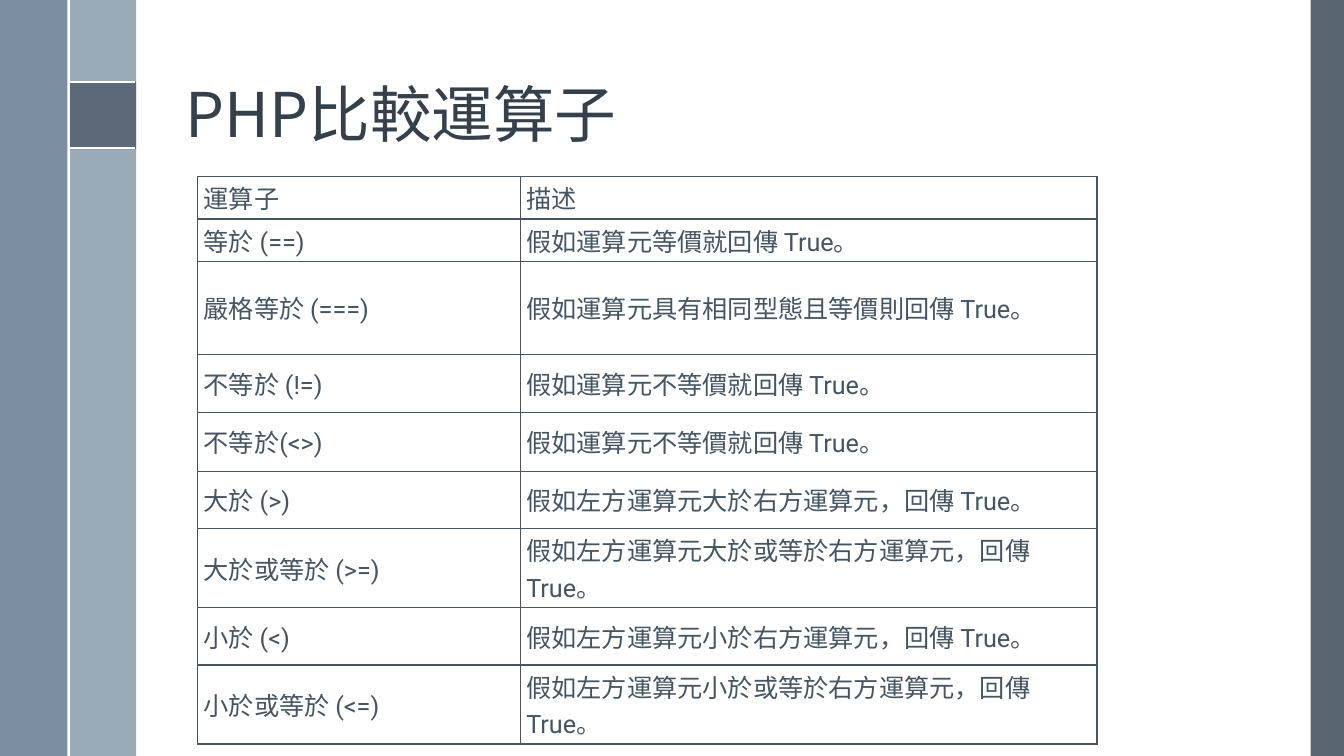
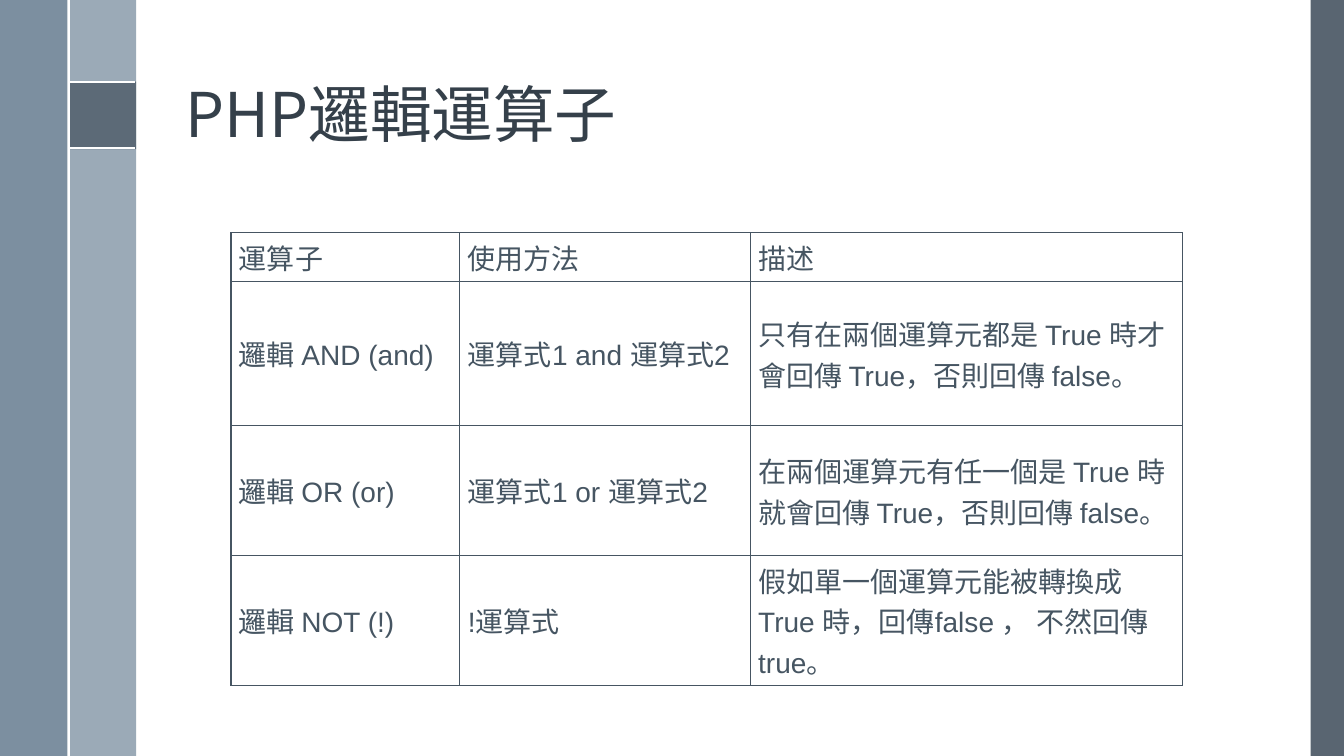
from dataclasses import dataclass

from lxml.etree import SubElement
from pptx import Presentation
from pptx.dml.color import RGBColor
from pptx.enum.shapes import MSO_CONNECTOR as Connector, MSO_SHAPE as Shape
from pptx.enum.text import MSO_ANCHOR as Anchor, MSO_AUTO_SIZE as AutoSize, PP_ALIGN as Align
from pptx.oxml import parse_xml
from pptx.oxml.ns import nsdecls, qn
from pptx.util import Inches, Pt

COLORS = {
    "white": "FFFFFF",
    "slate": "475562",
    "steel": "6A8093",
    "mist": "9BAAB7",
    "title": "35404A",
    "table": "465562",
}
CJK_FONT = "Noto Sans CJK TC"
WIDTH, HEIGHT = 13.33, 7.5
BAND_LEFT, BAND_RIGHT, BAND_WIDTH = 0.68, 1.34, 0.67
MARK_TOP, MARK_BOTTOM = 0.81, 1.47


@dataclass
class Band:
    left: float
    top: float
    width: float
    height: float
    color: str
    opacity: int = 100


@dataclass
class Rule:
    start: tuple[float, float]
    end: tuple[float, float]


@dataclass
class OperatorTable:
    title: str
    left: float
    top: float
    columns: list[float]
    heights: list[float]
    margins: tuple[float, float]
    size: int
    header_fonts: list[str]
    body_font: str
    rows: list[tuple[str, ...]]


BANDS = [
    Band(13, 0, 0.33, HEIGHT, "slate", 90),
    Band(BAND_LEFT, 0, BAND_WIDTH, HEIGHT, "mist"),
    Band(0, 0, BAND_WIDTH, HEIGHT, "steel", 88),
    Band(BAND_LEFT, MARK_TOP, BAND_WIDTH, BAND_WIDTH, "slate", 75),
]
RULES = [
    Rule((BAND_LEFT, MARK_TOP), (BAND_RIGHT, MARK_TOP)),
    Rule((BAND_LEFT, MARK_BOTTOM), (BAND_RIGHT, MARK_BOTTOM)),
    Rule((BAND_LEFT, 0), (BAND_LEFT, HEIGHT)),
]

COMPARISON = OperatorTable(
    "PHP比較運算子", 1.96, 1.75, [3.2, 5.72],
    [0.23, 0.4, 0.92, 0.58, 0.58] + [0.57] * 4,
    (0.06, 0.03), 18, ["Roboto", "Roboto"], "Roboto",
    [
        ("運算子", "描述"),
        ("等於 (==)", "假如運算元等價就回傳 True。"),
        ("嚴格等於 (===)", "假如運算元具有相同型態且等價則回傳 True。"),
        ("不等於 (!=)", "假如運算元不等價就回傳 True。"),
        ("不等於(<>)", "假如運算元不等價就回傳 True。"),
        ("大於 (>)", "假如左方運算元大於右方運算元，回傳 True。"),
        ("大於或等於 (>=)", "假如左方運算元大於或等於右方運算元，回傳 True。"),
        ("小於 (<)", "假如左方運算元小於右方運算元，回傳 True。"),
        ("小於或等於 (<=)", "假如左方運算元小於或等於右方運算元，回傳 True。"),
    ],
)
LOGIC = OperatorTable(
    "PHP邏輯運算子", 2.29, 2.31, [2.27, 2.88, 4.29],
    [0.33, 1.43, 1.26, 1.07],
    (0.08, 0.04), 20, ["Arial", "Roboto", "Roboto"], "Arial",
    [
        ("運算子", "使用方法", "描述"),
        ("邏輯 AND (and)", "運算式1 and 運算式2",
         "只有在兩個運算元都是 True 時才會回傳 True，否則回傳 false。"),
        ("邏輯 OR (or)", "運算式1 or 運算式2",
         "在兩個運算元有任一個是 True 時就會回傳 True，否則回傳 false。"),
        ("邏輯 NOT (!)", "!運算式",
         "假如單一個運算元能被轉換成 True 時，回傳false ， 不然回傳 true。"),
    ],
)


def rgb(color: str) -> RGBColor:
    return RGBColor.from_string(COLORS[color])


def style_paragraph(paragraph, font_name: str, size: int, color: str) -> None:
    font = paragraph.font
    font.name, font.size, font.bold = font_name, Pt(size), False
    font.color.rgb = rgb(color)
    # East Asian typeface follows the Latin one
    latin = paragraph._p.pPr.find(qn("a:defRPr")).find(qn("a:latin"))
    latin.addnext(parse_xml(f'<a:ea {nsdecls("a")} typeface="{CJK_FONT}"/>'))


def draw_band(slide, band: Band) -> None:
    bar = slide.shapes.add_shape(
        Shape.RECTANGLE, Inches(band.left), Inches(band.top),
        Inches(band.width), Inches(band.height))
    bar.shadow.inherit = False
    bar.line.fill.background()
    bar.fill.solid()
    bar.fill.fore_color.rgb = rgb(band.color)
    if band.opacity < 100:
        fill_color = bar._element.spPr.find(qn("a:solidFill"))[0]
        SubElement(fill_color, qn("a:alpha"), val=str(band.opacity * 1000))


def draw_rule(slide, rule: Rule) -> None:
    ends = [Inches(value) for value in (*rule.start, *rule.end)]
    line = slide.shapes.add_connector(Connector.STRAIGHT, *ends)
    line.line.color.rgb = rgb("white")
    line.line.width = Pt(1.5)
    SubElement(line._element.spPr, qn("a:effectLst"))


def write_title(slide, text: str) -> None:
    title = slide.shapes.title
    title.left, title.top = Inches(1.74), Inches(0.19)
    title.width, title.height = Inches(10.7), Inches(1.36)
    frame = title.text_frame
    frame.text = text
    frame.word_wrap = True
    frame.auto_size = AutoSize.NONE
    frame.vertical_anchor = Anchor.BOTTOM
    heading = frame.paragraphs[0]
    heading.alignment = Align.LEFT
    heading.line_spacing = 0.9
    style_paragraph(heading, CJK_FONT, 44, "title")


def add_borders(cell) -> None:
    properties = cell._tc.get_or_add_tcPr()
    for index, side in enumerate(("lnL", "lnR", "lnT", "lnB")):
        properties.insert(index, parse_xml(
            f'<a:{side} {nsdecls("a")} w="{Pt(1)}"><a:solidFill>'
            f'<a:srgbClr val="{COLORS["table"]}"/></a:solidFill></a:{side}>'))


def fill_cell(cell, text: str, font_name: str, spec: OperatorTable) -> None:
    side, edge = (Inches(margin) for margin in spec.margins)
    cell.margin_left = cell.margin_right = side
    cell.margin_top = cell.margin_bottom = edge
    cell.vertical_anchor = Anchor.MIDDLE
    cell.fill.solid()
    cell.fill.fore_color.rgb = rgb("white")
    add_borders(cell)
    cell.text = text
    style_paragraph(cell.text_frame.paragraphs[0], font_name, spec.size, "table")


def draw_table(slide, spec: OperatorTable) -> None:
    table = slide.shapes.add_table(
        len(spec.rows), len(spec.columns), Inches(spec.left), Inches(spec.top),
        Inches(sum(spec.columns)), Inches(sum(spec.heights))).table
    table.first_row = table.horz_banding = False
    for column, width in zip(table.columns, spec.columns):
        column.width = Inches(width)
    for row, height in zip(table.rows, spec.heights):
        row.height = Inches(height)
    for r, texts in enumerate(spec.rows):
        for c, text in enumerate(texts):
            font_name = spec.body_font if r else spec.header_fonts[c]
            fill_cell(table.cell(r, c), text, font_name, spec)


def build_slide(deck, spec: OperatorTable) -> None:
    slide = deck.slides.add_slide(deck.slide_layouts[5])
    # Side bands
    for band in BANDS:
        draw_band(slide, band)
    for rule in RULES:
        draw_rule(slide, rule)
    # Content
    write_title(slide, spec.title)
    draw_table(slide, spec)


def main() -> None:
    deck = Presentation()
    deck.slide_width, deck.slide_height = Inches(WIDTH), Inches(HEIGHT)
    for spec in (COMPARISON, LOGIC):
        build_slide(deck, spec)
    deck.save("out.pptx")


if __name__ == "__main__":
    main()
